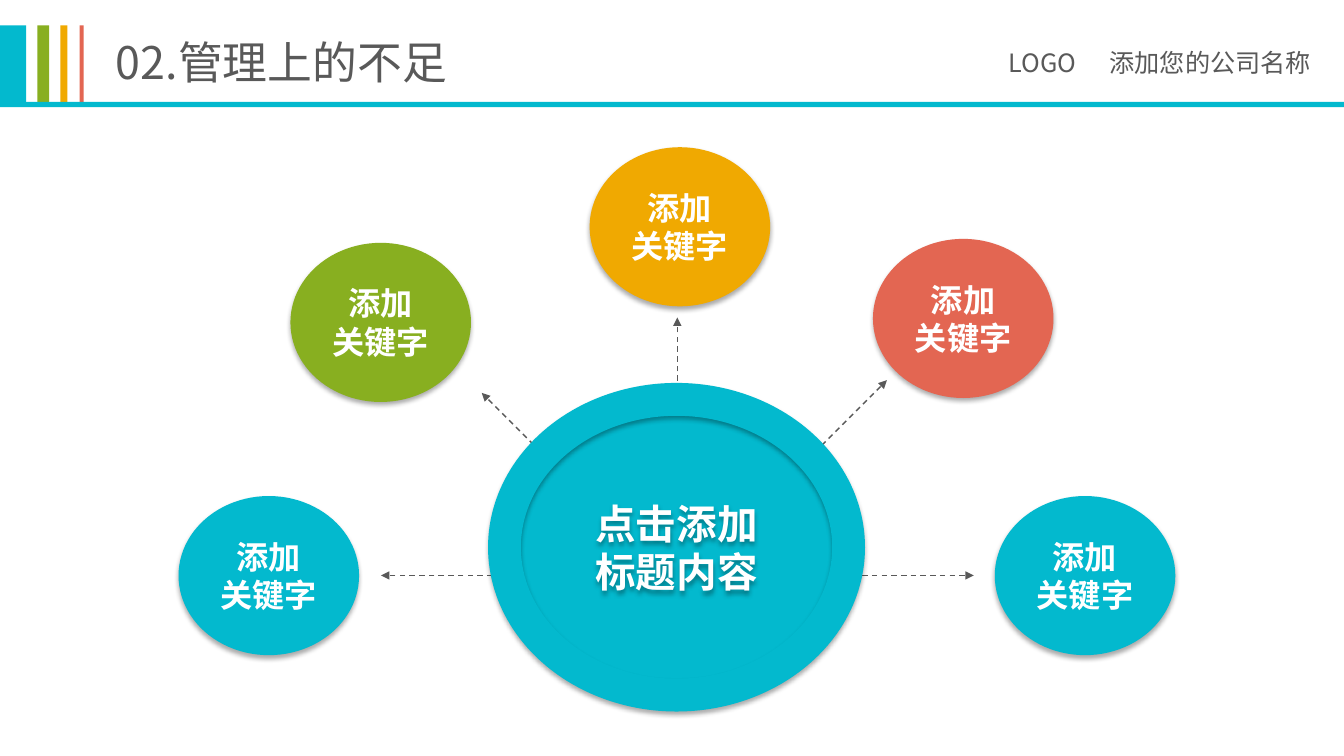
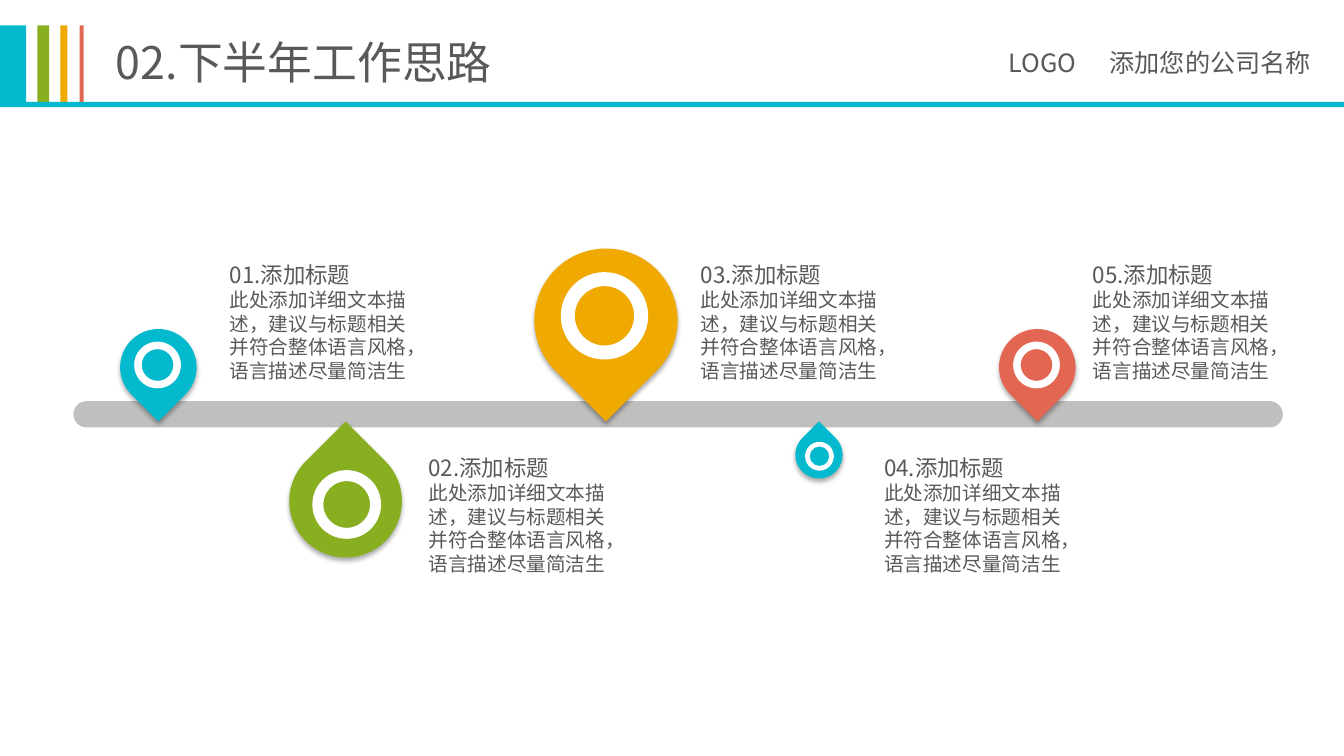
from dataclasses import dataclass
from math import sqrt

from lxml import etree
from pptx import Presentation
from pptx.dml.color import RGBColor
from pptx.enum.dml import MSO_LINE
from pptx.enum.shapes import MSO_CONNECTOR, MSO_SHAPE
from pptx.enum.text import MSO_ANCHOR, PP_ALIGN
from pptx.oxml.ns import qn
from pptx.shapes.autoshape import Shape
from pptx.slide import Slide
from pptx.text.text import TextFrame
from pptx.util import Cm, Pt

TEAL = RGBColor(0x03, 0xB9, 0xCE)
GREEN = RGBColor(0x88, 0xAF, 0x20)
AMBER = RGBColor(0xF0, 0xA9, 0x01)
RED = RGBColor(0xE3, 0x66, 0x52)
GREY = RGBColor(0x59, 0x59, 0x59)
SILVER = RGBColor(0xBF, 0xBF, 0xBF)
WHITE = RGBColor(0xFF, 0xFF, 0xFF)

RECT, PILL = MSO_SHAPE.RECTANGLE, MSO_SHAPE.ROUNDED_RECTANGLE
OVAL, DONUT, DROP = MSO_SHAPE.OVAL, MSO_SHAPE.DONUT, MSO_SHAPE.TEAR
STRAIGHT, DASH = MSO_CONNECTOR.STRAIGHT, MSO_LINE.DASH
LEFT, CENTER = PP_ALIGN.LEFT, PP_ALIGN.CENTER
TOP, MIDDLE = MSO_ANCHOR.TOP, MSO_ANCHOR.MIDDLE

FONT = "Noto Sans CJK SC"
WIDTH, HEIGHT = 33.87, 19.05
DETAIL = "此处添加详细文本描述，建议与标题相关并符合整体语言风格，语言描述尽量简洁生"


@dataclass
class Box:
    left: float
    top: float
    width: float
    height: float


@dataclass
class Stripe:
    left: float
    width: float
    color: RGBColor


@dataclass
class Topic:
    left: float
    top: float
    color: RGBColor


@dataclass
class Ray:
    start: tuple[float, float]
    end: tuple[float, float]


@dataclass
class Pin:
    center: float
    size: float
    above: bool
    color: RGBColor
    note: float


@dataclass
class Line:
    text: str
    size: float


STRIPES = [Stripe(0, 0.66, TEAL), Stripe(0.94, 0.3, GREEN),
           Stripe(1.52, 0.18, AMBER), Stripe(2.01, 0.1, RED)]
TOPICS = [Topic(4.5, 12.5, TEAL), Topic(7.32, 6.12, GREEN),
          Topic(14.86, 3.71, AMBER), Topic(22, 6.02, RED),
          Topic(25.07, 12.5, TEAL)]
RAYS = [Ray((17.07, 14.5), (9.6, 14.5)), Ray((17.07, 14.5), (24.54, 14.5)),
        Ray((17.07, 14.5), (17.07, 8)), Ray((16.74, 14.5), (12.14, 9.9)),
        Ray((17.07, 14.86), (22.35, 9.58))]
PINS = [Pin(3.99, 1.93, True, TEAL, 5.61), Pin(8.71, 2.84, False, GREEN, 10.62),
        Pin(15.27, 3.61, True, AMBER, 17.48), Pin(20.64, 1.19, False, TEAL, 22.1),
        Pin(26.14, 1.93, True, RED, 27.36)]
TIP = 10.62  # height at which all pins touch the bar


# Shared helpers
def draw(slide: Slide, kind: MSO_SHAPE, box: Box, color: RGBColor) -> Shape:
    shape = slide.shapes.add_shape(kind, Cm(box.left), Cm(box.top),
                                   Cm(box.width), Cm(box.height))
    shape.shadow.inherit = False
    shape.fill.solid()
    shape.fill.fore_color.rgb = color
    shape.line.fill.background()
    return shape


def shade(shape: Shape) -> None:
    effects = shape._element.spPr.find(qn("a:effectLst"))
    shadow = etree.SubElement(effects, qn("a:outerShdw"), blurRad=str(Pt(3.5)),
                              dist=str(Pt(2.2)), dir="5400000", rotWithShape="0")
    black = etree.SubElement(shadow, qn("a:srgbClr"), val="000000")
    etree.SubElement(black, qn("a:alpha"), val="32000")


def fill(frame: TextFrame, lines: list[Line], color: RGBColor,
         align: PP_ALIGN, bold: bool = False) -> None:
    frame.word_wrap = True
    for count, line in enumerate(lines):
        para = frame.add_paragraph() if count else frame.paragraphs[0]
        para.text = line.text
        para.alignment = align
        para.line_spacing = Pt(line.size * 1.2)
        font = para.font
        font.size, font.bold, font.name = Pt(line.size), bold, FONT
        font.color.rgb = color
        props = para._p.pPr.find(qn("a:defRPr"))
        etree.SubElement(props, qn("a:ea"), typeface=FONT)


def write(slide: Slide, box: Box, lines: list[Line],
          side: float = 0.25, edge: float = 0.13) -> None:
    frame = slide.shapes.add_textbox(Cm(box.left), Cm(box.top),
                                     Cm(box.width), Cm(box.height)).text_frame
    frame.margin_left = frame.margin_right = Cm(side)
    frame.margin_top = frame.margin_bottom = Cm(edge)
    frame.vertical_anchor = TOP
    fill(frame, lines, GREY, LEFT)


def label(shape: Shape, words: list[str], size: float) -> None:
    frame = shape.text_frame
    frame.margin_left = frame.margin_right = 0
    frame.margin_top = frame.margin_bottom = 0
    frame.vertical_anchor = MIDDLE
    fill(frame, [Line(word, size) for word in words], WHITE, CENTER, True)


def header(slide: Slide, title: str) -> None:
    write(slide, Box(2.67, 0.74, 13, 1.63), [Line(title, 32)])
    for stripe in STRIPES:
        draw(slide, RECT, Box(stripe.left, 0.64, stripe.width, 1.93), stripe.color)
    write(slide, Box(25.17, 1.07, 2.5, 1.02), [Line("LOGO", 18)])
    write(slide, Box(27.71, 1.07, 6.16, 1.02), [Line("添加您的公司名称", 18)])
    draw(slide, RECT, Box(0, 2.57, WIDTH, 0.13), TEAL)


# Hub slide
def arrow(slide: Slide, ray: Ray) -> None:
    link = slide.shapes.add_connector(STRAIGHT, *map(Cm, ray.start + ray.end))
    link.line.color.rgb = GREY
    link.line.width = Pt(1)
    link.line.dash_style = DASH
    etree.SubElement(link.line._get_or_add_ln(), qn("a:tailEnd"), type="triangle")
    etree.SubElement(link._element.spPr, qn("a:effectLst"))


def hub(slide: Slide) -> None:
    header(slide, "02.管理上的不足")
    for ray in RAYS:
        arrow(slide, ray)
    shade(draw(slide, OVAL, Box(13.06, 10.34, 7.98, 6.93), TEAL))
    ring = draw(slide, DONUT, Box(12.3, 9.65, 9.5, 8.28), TEAL)
    ring.adjustments[0] = 0.1
    shade(ring)
    label(ring, ["点击添加", "标题内容"], 29)
    for topic in TOPICS:
        oval = draw(slide, OVAL, Box(topic.left, topic.top, 4.55, 4.01), topic.color)
        shade(oval)
        label(oval, ["添加", "关键字"], 23)


# Timeline slide
def mark(slide: Slide, pin: Pin, number: int) -> None:
    away = -1 if pin.above else 1
    middle = TIP + away * pin.size / sqrt(2)
    drop = draw(slide, DROP, Box(pin.center - pin.size / 2, middle - pin.size / 2,
                                 pin.size, pin.size), pin.color)
    drop.rotation = 135 if pin.above else 315
    shade(drop)
    size = pin.size * 0.61
    middle += away * pin.size * 0.03
    ring = draw(slide, DONUT, Box(pin.center + away * pin.size * 0.01 - size / 2,
                                  middle - size / 2, size, size), WHITE)
    ring.adjustments[0] = 0.16
    top = 6.48 if pin.above else 11.35
    write(slide, Box(pin.note, top, 5.26, 3.28),
          [Line(f"{number:02}.添加标题", 16), Line(DETAIL, 14)], 0.18, 0.1)


def timeline(slide: Slide) -> None:
    header(slide, "02.下半年工作思路")
    bar = draw(slide, PILL, Box(1.85, 10.11, 30.48, 0.66), SILVER)
    bar.adjustments[0] = 0.5
    for number, pin in enumerate(PINS, 1):
        mark(slide, pin, number)


def main() -> None:
    deck = Presentation()
    deck.slide_width, deck.slide_height = Cm(WIDTH), Cm(HEIGHT)
    for build in (hub, timeline):
        build(deck.slides.add_slide(deck.slide_layouts[6]))
    deck.save("out.pptx")


if __name__ == "__main__":
    main()
